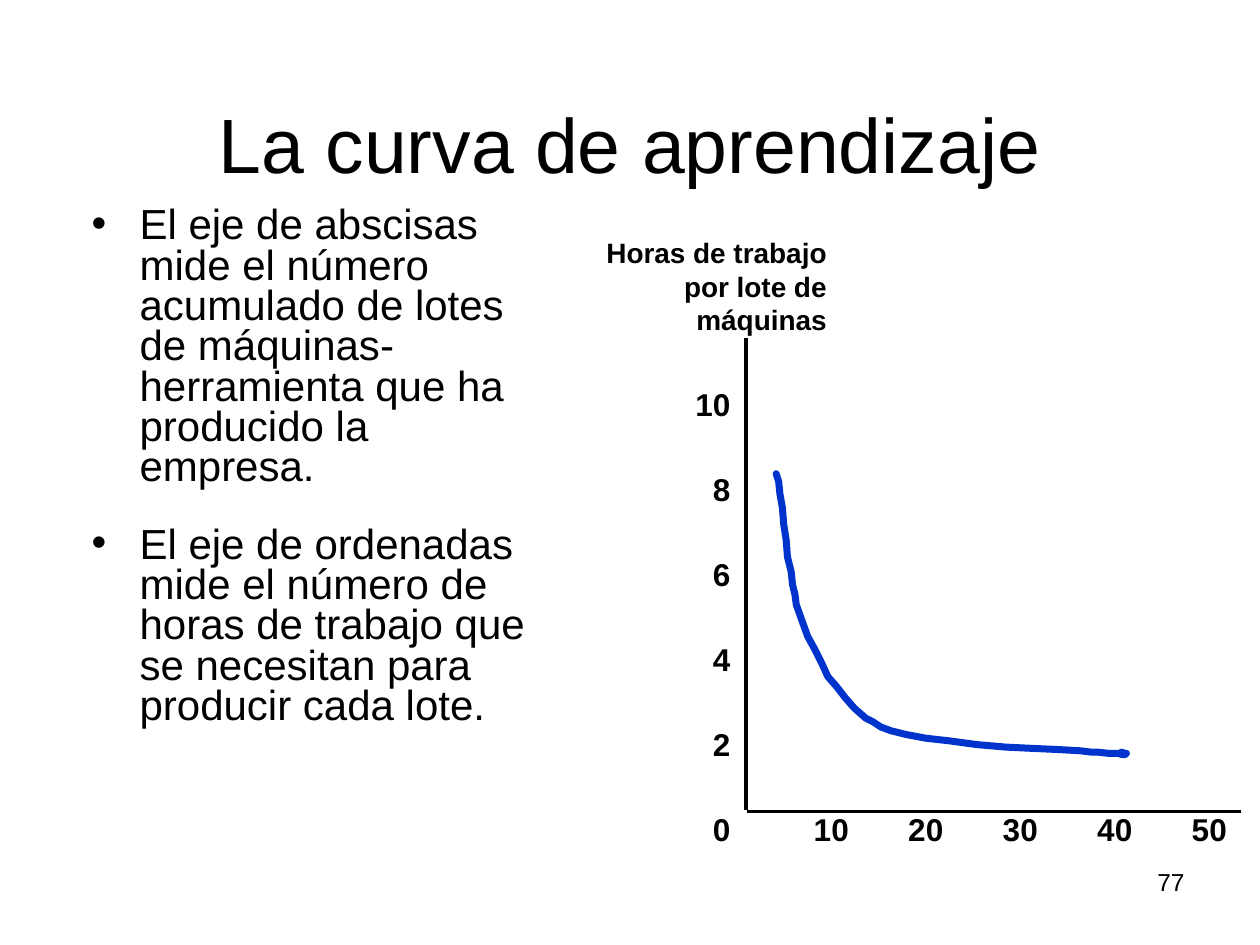
"""Build the learning-curve slide with its bullets and hand-drawn curve."""
import dataclasses
import typing

import lxml.etree
import pptx
import pptx.dml.color
import pptx.enum.shapes
import pptx.enum.text
import pptx.oxml.ns
import pptx.util

Inches = pptx.util.Inches
Align = pptx.enum.text.PP_ALIGN
Anchor = pptx.enum.text.MSO_ANCHOR
qn = pptx.oxml.ns.qn


@dataclasses.dataclass(frozen=True)
class Theme:
    font: str = "Arial"
    ink: str = "000000"
    curve: str = "0033CC"
    title_size: float = 44
    body_size: float = 24
    tick_size: float = 18
    axis_title_size: float = 16
    page_number_size: float = 14
    axis_width: float = 2
    curve_width: float = 4


@dataclasses.dataclass(frozen=True)
class TextBlock:
    lines: tuple[str, ...]
    left: float
    top: float
    width: float
    height: float
    size: float
    align: Align = Align.LEFT
    anchor: Anchor = Anchor.TOP
    bold: bool = False
    wrap: bool = True
    bullets: bool = False


class Point(typing.NamedTuple):
    x: float
    y: float


THEME = Theme()
ORIGIN = Point(5.92, 6.44)
AXES = (
    (Point(5.92, 2.68), Point(5.92, 6.43)),
    (Point(5.93, 6.44), Point(9.85, 6.44)),
)
BLOCKS = (
    TextBlock(("La curva de aprendizaje",), 0.5, 0.3, 9, 1.25,
              THEME.title_size, Align.CENTER, Anchor.BOTTOM),
    TextBlock(("Horas de trabajo", "por lote de", "máquinas"), 4.25, 1.82, 2.41, 0.9,
              THEME.axis_title_size, Align.RIGHT, bold=True),
    TextBlock((
        "El eje de abscisas mide el número acumulado de lotes de "
        "máquinas-herramienta que ha producido la empresa.",
        "El eje de ordenadas mide el número de horas de trabajo que "
        "se necesitan para producir cada lote.",
    ), 0.63, 1.6, 3.83, 4.5, THEME.body_size, bullets=True),
    TextBlock(("77",), 7.17, 6.83, 2.33, 0.52, THEME.page_number_size, Align.RIGHT),
)
CURVE = tuple(Point(x, y) for x, y in (
    (6.16, 3.76), (6.18, 3.82), (6.19, 3.92), (6.21, 4.03), (6.22, 4.16),
    (6.24, 4.29), (6.25, 4.42), (6.28, 4.54), (6.29, 4.64), (6.31, 4.72),
    (6.32, 4.8), (6.37, 4.94), (6.41, 5.05), (6.47, 5.16), (6.52, 5.26),
    (6.57, 5.37), (6.64, 5.45), (6.71, 5.54), (6.78, 5.62), (6.87, 5.7),
    (6.93, 5.73), (6.99, 5.77), (7.07, 5.8), (7.19, 5.83), (7.35, 5.86),
    (7.53, 5.88), (7.75, 5.91), (7.98, 5.93), (8.19, 5.94), (8.41, 5.95),
    (8.58, 5.96), (8.66, 5.97), (8.71, 5.97), (8.8, 5.98), (8.87, 5.98),
    (8.91, 5.99), (8.93, 5.99), (8.94, 5.98), (8.93, 5.98), (8.9, 5.97),
))


def color(value: str) -> pptx.dml.color.RGBColor:
    return pptx.dml.color.RGBColor.from_string(value)


def add_bullet(para) -> None:
    properties = para._p.get_or_add_pPr()
    properties.set("marL", str(Inches(0.38)))
    properties.set("indent", str(Inches(-0.38)))
    lxml.etree.SubElement(properties, qn("a:buFont")).set("typeface", THEME.font)
    lxml.etree.SubElement(properties, qn("a:buChar")).set("char", "•")


def add_text(page, block: TextBlock) -> None:
    box = page.shapes.add_textbox(
        Inches(block.left), Inches(block.top), Inches(block.width), Inches(block.height))
    frame = box.text_frame
    frame.word_wrap = block.wrap
    frame.vertical_anchor = block.anchor
    for index, line in enumerate(block.lines):
        para = frame.add_paragraph() if index else frame.paragraphs[0]
        para.alignment = block.align
        if block.bullets:
            add_bullet(para)
            para.line_spacing = 0.8
            if index:
                para.space_before = pptx.util.Pt(21)
        span = para.add_run()
        span.text = line
        span.font.name = THEME.font
        span.font.size = pptx.util.Pt(block.size)
        span.font.bold = block.bold
        span.font.color.rgb = color(THEME.ink)


def add_tick(page, value: int, left: float, top: float, width: float) -> None:
    add_text(page, TextBlock((str(value),), left, top, width, 0.4,
                             THEME.tick_size, bold=True, wrap=False))


def add_ticks(page) -> None:
    for step in range(1, 6):
        add_tick(page, 10 * step, 5.61 + 0.75 * step, 6.38, 0.48)
    for step in range(6):
        width = 0.34 if step < 5 else 0.48
        add_tick(page, 2 * step, 5.9 - width, 6.38 - 0.674 * step, width)


def add_axis(page, start: Point, end: Point) -> None:
    axis = page.shapes.add_connector(
        pptx.enum.shapes.MSO_CONNECTOR.STRAIGHT,
        Inches(start.x), Inches(start.y), Inches(end.x), Inches(end.y))
    axis.line.color.rgb = color(THEME.ink)
    axis.line.width = pptx.util.Pt(THEME.axis_width)
    lxml.etree.SubElement(axis._element.spPr, qn("a:effectLst"))


def add_curve(page, points: tuple[Point, ...]) -> None:
    start, *rest = points
    builder = page.shapes.build_freeform(
        Inches(start.x), Inches(start.y))
    builder.add_line_segments(
        [(Inches(point.x), Inches(point.y)) for point in rest], close=False)
    curve = builder.convert_to_shape()
    curve.shadow.inherit = False
    curve.fill.background()
    curve.line.color.rgb = color(THEME.curve)
    curve.line.width = pptx.util.Pt(THEME.curve_width)
    outline = curve._element.spPr.find(qn("a:ln"))
    outline.set("cap", "rnd")
    lxml.etree.SubElement(outline, qn("a:round"))


def main() -> None:
    deck = pptx.Presentation()
    deck.slide_width, deck.slide_height = Inches(10), Inches(7.5)
    page = deck.slides.add_slide(deck.slide_layouts[6])
    for start, end in AXES:
        add_axis(page, start, end)
    add_ticks(page)
    add_curve(page, CURVE)
    for block in BLOCKS:
        add_text(page, block)
    deck.save("out.pptx")


if __name__ == "__main__":
    main()
